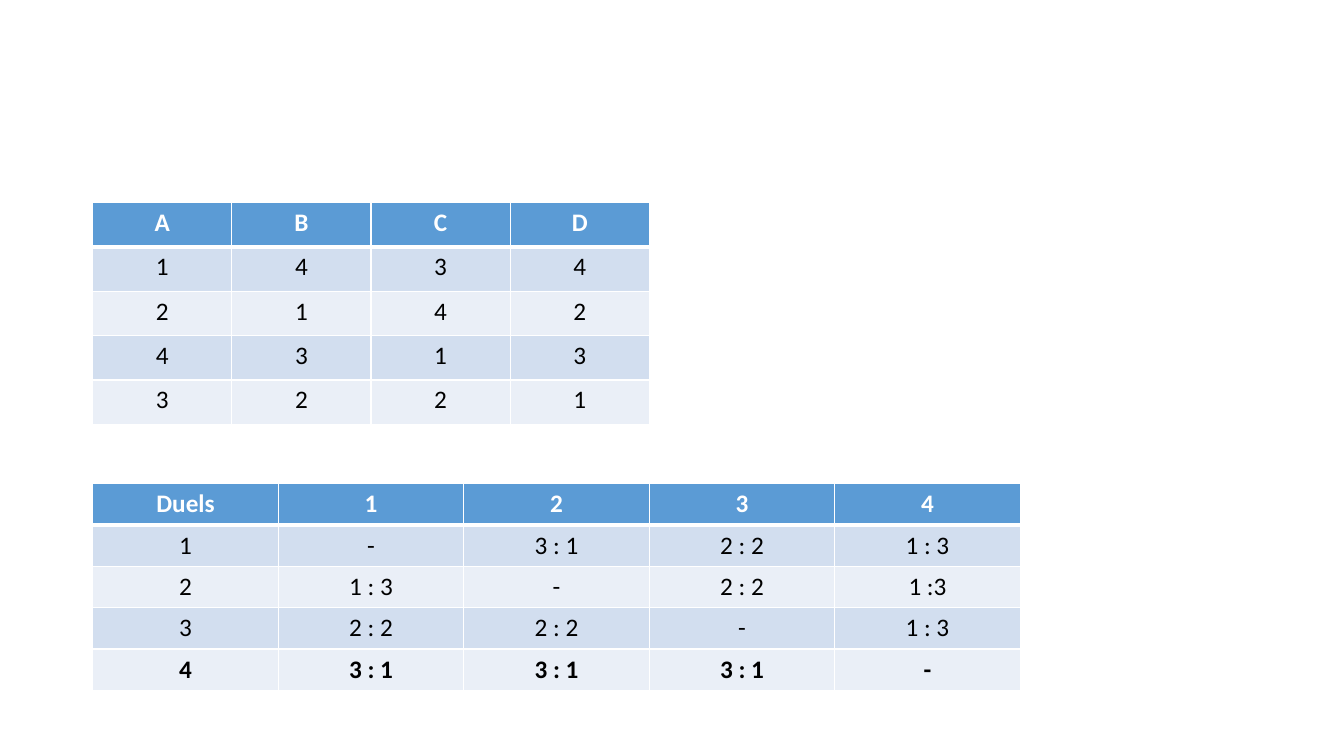
from lxml import etree
from pptx import Presentation
from pptx.dml.color import RGBColor
from pptx.enum.text import PP_ALIGN
from pptx.oxml.ns import qn
from pptx.util import Inches, Pt

CENTER = PP_ALIGN.CENTER
WHITE = RGBColor(0xFF, 0xFF, 0xFF)
BLACK = RGBColor(0, 0, 0)
HEADER = RGBColor(0x5B, 0x9B, 0xD5)
BANDS = (RGBColor(0xEA, 0xEF, 0xF7), RGBColor(0xD2, 0xDE, 0xEF))

# Content
VOTES = [
    ("A", "B", "C", "D"),
    ("1", "4", "3", "4"),
    ("2", "1", "4", "2"),
    ("4", "3", "1", "3"),
    ("3", "2", "2", "1"),
]
DUELS = [
    ("Duels", "1", "2", "3", "4"),
    ("1", "-", "3 : 1", "2 : 2", "1 : 3"),
    ("2", "1 : 3", "-", "2 : 2", "1 :3"),
    ("3", "2 : 2", "2 : 2", "-", "1 : 3"),
    ("4", "3 : 1", "3 : 1", "3 : 1", "-"),
]
LEFT = 0.92
TABLES = [
    dict(rows=VOTES, top=2.01, col_w=1.38, row_h=0.44, bold_rows=(0,)),
    dict(rows=DUELS, top=4.8, col_w=1.84, row_h=0.41, bold_rows=(0, 4)),
]


def write(tf, text, size=18, color=BLACK, bold=False, align=CENTER):
    p = tf.paragraphs[0]
    p.alignment = align
    r = p.add_run()
    r.text = text
    r.font.name = "Calibri"
    r.font.size = Pt(size)
    r.font.color.rgb = color
    r.font.bold = bold


def set_borders(cell, **widths):
    tcPr = cell._tc.get_or_add_tcPr()
    for side in "LRTB":
        ln = etree.SubElement(tcPr, qn(f"a:ln{side}"), w=str(Pt(widths.get(side, 1))))
        fill = etree.SubElement(ln, qn("a:solidFill"))
        etree.SubElement(fill, qn("a:srgbClr"), val=str(WHITE))


def add_grid(s, rows, top, col_w, row_h, bold_rows):
    n_rows, n_cols = len(rows), len(rows[0])
    table = s.shapes.add_table(
        n_rows, n_cols, Inches(LEFT), Inches(top),
        Inches(col_w * n_cols), Inches(row_h * n_rows)).table
    for col in table.columns:
        col.width = Inches(col_w)
    for i, row in enumerate(rows):
        table.rows[i].height = Inches(row_h)
        for j, text in enumerate(row):
            cell = table.cell(i, j)
            # Thick rule between the header and the body
            set_borders(cell, T=3 if i == 1 else 1, B=3 if i == 0 else 1)
            cell.fill.solid()
            cell.fill.fore_color.rgb = BANDS[i % 2] if i else HEADER
            write(cell.text_frame, text, color=BLACK if i else WHITE,
                  bold=i in bold_rows)


prs = Presentation()
prs.slide_width, prs.slide_height = Inches(13.33), Inches(7.5)
s = prs.slides.add_slide(prs.slide_layouts[6])

# Ranking table above, duel table below
for spec_table in TABLES:
    add_grid(s, **spec_table)

prs.save("out.pptx")
